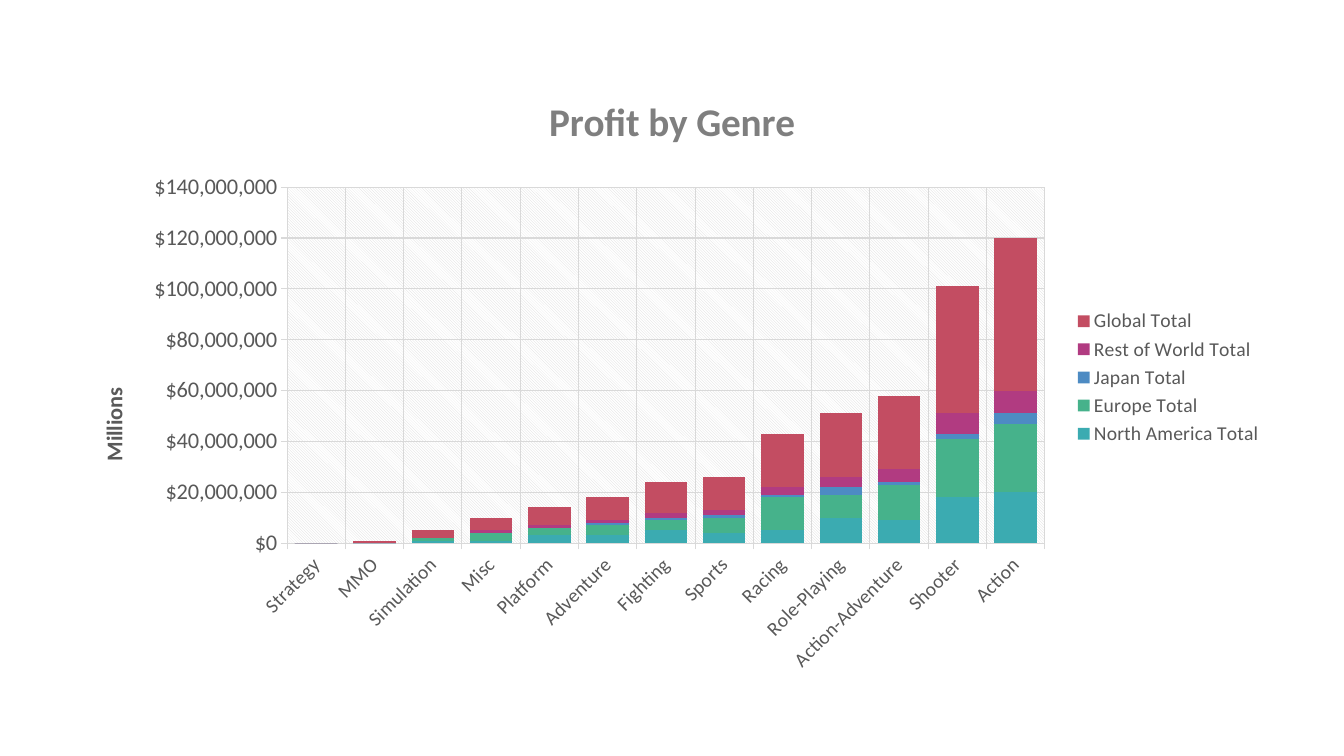
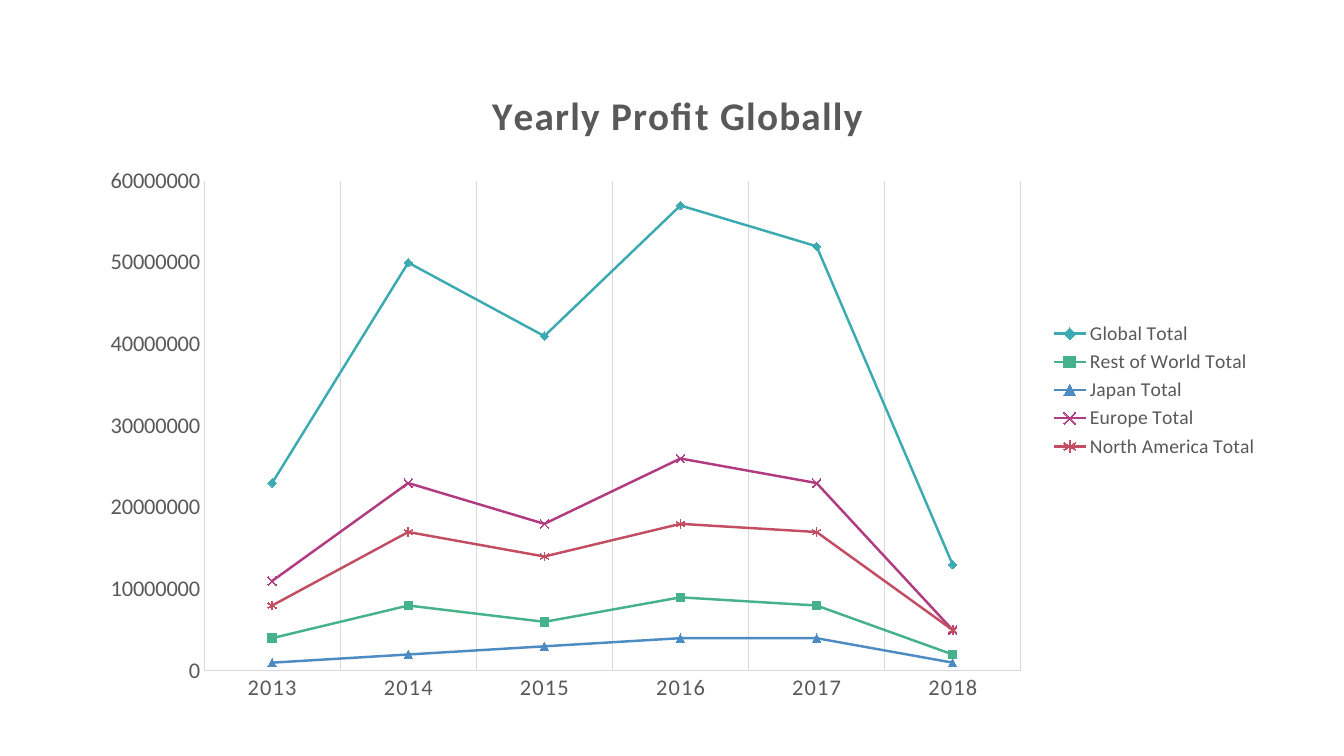
from pptx import Presentation
from pptx.chart.data import CategoryChartData as Data
from pptx.dml.color import RGBColor
from pptx.enum.chart import XL_CHART_TYPE as Kind, XL_LEGEND_POSITION as Side
from pptx.enum.chart import XL_MARKER_STYLE as Mark, XL_TICK_MARK as Tick
from pptx.oxml import parse_xml
from pptx.oxml.ns import nsdecls
from pptx.util import Inches, Pt

FONT = "Calibri"
TEXT = RGBColor(0x59, 0x59, 0x59)
GREY = RGBColor(0x7F, 0x7F, 0x7F)
RULE = RGBColor(0xD9, 0xD9, 0xD9)
BLACK = RGBColor(0, 0, 0)
TEAL = RGBColor(0x3B, 0xAB, 0xB1)
GREEN = RGBColor(0x46, 0xB2, 0x8B)
BLUE = RGBColor(0x4D, 0x8B, 0xC3)
PLUM = RGBColor(0xB1, 0x3B, 0x81)
RED = RGBColor(0xC3, 0x4D, 0x62)
COLORS = [TEAL, GREEN, BLUE, PLUM, RED]
MARKS = [Mark.DIAMOND, Mark.SQUARE, Mark.TRIANGLE, Mark.X, Mark.STAR]
MILLION = 1000000

GENRES = ["Strategy", "MMO", "Simulation", "Misc", "Platform", "Adventure",
          "Fighting", "Sports", "Racing", "Role-Playing", "Action-Adventure",
          "Shooter", "Action"]
BY_GENRE = {
    "North America Total": [0, 0, 1, 1, 3, 3, 5, 4, 5, 10, 9, 18, 20],
    "Europe Total": [0, 0, 1, 3, 3, 4, 4, 6, 13, 9, 14, 23, 27],
    "Japan Total": [0, 0, 0, 0, 0, 1, 1, 1, 1, 3, 1, 2, 4],
    "Rest of World Total": [0, 0, 0, 1, 1, 1, 2, 2, 3, 4, 5, 8, 9],
    "Global Total": [0, 1, 3, 5, 7, 9, 12, 13, 21, 25, 29, 50, 60],
}
YEARS = ["2013", "2014", "2015", "2016", "2017", "2018"]
BY_YEAR = {
    "Global Total": [23, 50, 41, 57, 52, 13],
    "Rest of World Total": [4, 8, 6, 9, 8, 2],
    "Japan Total": [1, 2, 3, 4, 4, 1],
    "Europe Total": [11, 23, 18, 26, 23, 5],
    "North America Total": [8, 17, 14, 18, 17, 5],
}


def style(font, size, color=TEXT, bold=False):
    font.name, font.size, font.bold = FONT, Pt(size), bold
    font.color.rgb = color


def rule(line):
    line.color.rgb = RULE
    line.width = Pt(0.75)


def write(frame, text, size, color):
    run = frame.paragraphs[0].add_run()
    run.text = text
    style(run.font, size, color, True)


def place(part, index, target="", **sizes):
    for old in part.xpath("c:layout"):
        part.remove(old)
    modes = '<c:xMode val="edge"/><c:yMode val="edge"/>'
    spots = "".join(f'<c:{key} val="{val}"/>' for key, val in sizes.items())
    part.insert(index, parse_xml(
        f'<c:layout {nsdecls("c")}><c:manualLayout>{target}{modes}{spots}'
        '</c:manualLayout></c:layout>'))


def set_all(chart, query, key, value):
    for node in chart.element.xpath(query):
        node.set(key, value)


def add_chart(deck, kind, box, cats, rows, title, color, top, step, tick, size, plot):
    slide = deck.slides.add_slide(deck.slide_layouts[6])
    data = Data()
    data.categories = cats
    for name, vals in rows.items():
        data.add_series(name, [val * MILLION for val in vals])
    chart = slide.shapes.add_chart(kind, *map(Inches, box), data).chart
    chart.font.name, chart.font.size = "League Spartan", Pt(10)
    chart.font.color.rgb = BLACK
    chart.has_title = True
    write(chart.chart_title.text_frame, title, 28, color)
    chart.has_legend = True
    chart.legend.position = Side.RIGHT
    chart.legend.include_in_layout = False
    style(chart.legend.font, 14)
    cat, val = chart.category_axis, chart.value_axis
    for axis, points in ((cat, size), (val, 16)):
        style(axis.tick_labels.font, points)
        axis.major_tick_mark, axis.minor_tick_mark = tick, Tick.NONE
        rule(axis.format.line)
    cat.has_major_gridlines = True
    rule(cat.major_gridlines.format.line)
    val.has_major_gridlines = False
    val.minimum_scale, val.maximum_scale = 0, top * MILLION
    val.major_unit = step * MILLION
    chart.plots[0].vary_by_categories = False
    area = chart.element.xpath("c:chart/c:plotArea")[0]
    place(area, 0, '<c:layoutTarget val="inner"/>', **dict(zip("xywh", plot)))
    return chart, area


def add_genres(deck):
    chart, area = add_chart(
        deck, Kind.COLUMN_STACKED, (0.7, 0.7, 11.93, 6.09), GENRES, BY_GENRE,
        "Profit by Genre", GREY, 140, 20, Tick.OUTSIDE, 14,
        (0.18, 0.19, 0.63, 0.58))
    bars = chart.plots[0]
    bars.gap_width, bars.overlap = 37, 100
    for row, color in zip(bars.series, COLORS):
        row.format.fill.solid()
        row.format.fill.fore_color.rgb = color
    val = chart.value_axis
    val.has_major_gridlines = True
    rule(val.major_gridlines.format.line)
    val.tick_labels.number_format = '"$"#,##0'
    val.tick_labels.number_format_is_linked = False
    write(val.axis_title.text_frame, "Millions", 16, TEXT)
    head = chart.element.xpath("//c:valAx/c:title")[0]
    place(head, 1, x=0.02, y=0.51)
    set_all(chart, "//c:valAx/c:title//a:bodyPr", "rot", "-5400000")
    set_all(chart, "//c:catAx/c:txPr/a:bodyPr", "rot", "-2700000")
    area.append(parse_xml(
        f'<c:spPr {nsdecls("c", "a")}><a:pattFill prst="ltDnDiag">'
        f'<a:fgClr><a:srgbClr val="{RULE}"/></a:fgClr>'
        '<a:bgClr><a:srgbClr val="FFFFFF"/></a:bgClr></a:pattFill></c:spPr>'))


def add_years(deck):
    chart, area = add_chart(
        deck, Kind.LINE_MARKERS, (0.85, 0.63, 11.74, 6.48), YEARS, BY_YEAR,
        "Yearly Profit Globally", TEXT, 60, 10, Tick.NONE, 16,
        (0.1, 0.18, 0.69, 0.75))
    for row, color, mark in zip(chart.plots[0].series, COLORS, MARKS):
        row.smooth = False
        row.format.line.color.rgb = color
        row.format.line.width = Pt(1.75)
        row.marker.style, row.marker.size = mark, 6
        look = row.marker.format
        look.line.color.rgb = color
        if mark in (Mark.X, Mark.STAR):
            look.fill.background()
        else:
            look.fill.solid()
            look.fill.fore_color.rgb = color
    labels = chart.value_axis.tick_labels
    labels.number_format, labels.number_format_is_linked = "General", False
    set_all(chart, "c:chart/c:title//a:rPr", "spc", "100")
    set_all(chart, "//c:catAx/c:txPr//a:defRPr", "spc", "100")


def main():
    """Build the two profit charts."""
    deck = Presentation()
    deck.slide_width, deck.slide_height = Inches(13.33), Inches(7.5)
    add_genres(deck)
    add_years(deck)
    deck.save("out.pptx")


if __name__ == "__main__":
    main()
